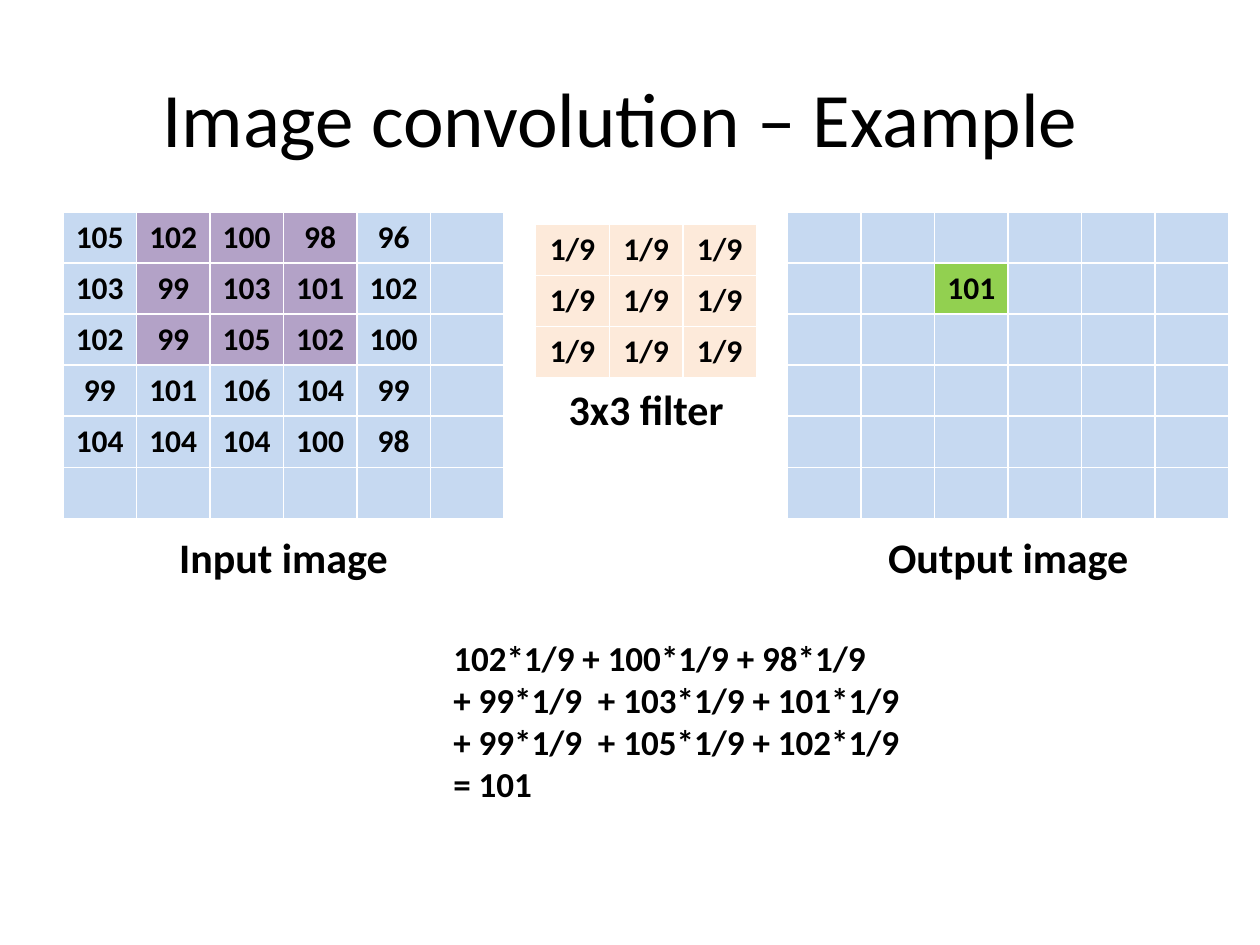
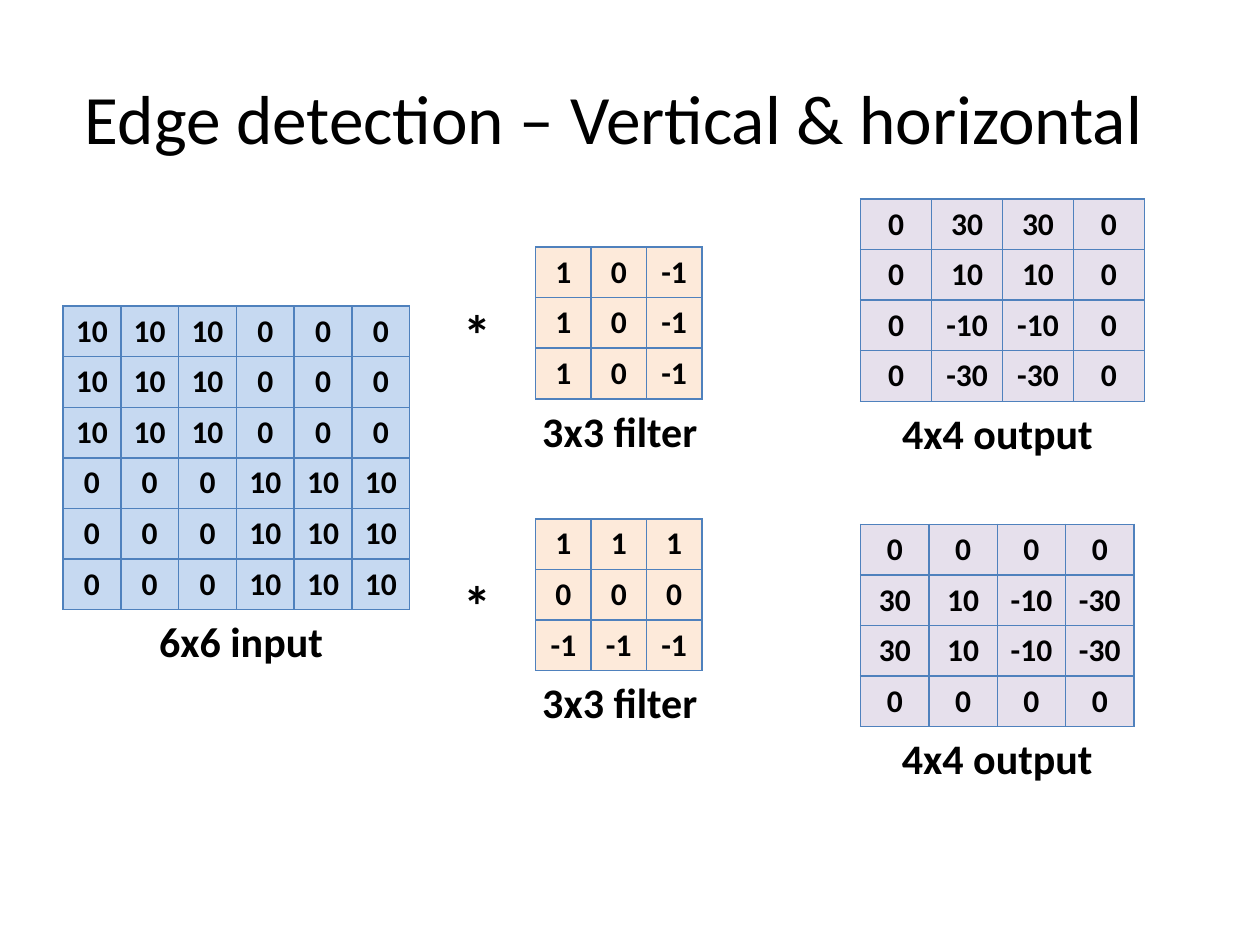
import itertools

import lxml.etree
import pptx
import pptx.dml.color
import pptx.enum.text
import pptx.oxml.ns
import pptx.util

Cm = pptx.util.Cm
Pt = pptx.util.Pt
ALIGN = pptx.enum.text.PP_ALIGN
MIDDLE = pptx.enum.text.MSO_ANCHOR.MIDDLE

FONT = "Calibri"
COLOURS = {
    "text": "000000",
    "image": "C6D9F1",
    "window": "B3A2C7",
    "filter": "FDEADA",
    "result": "92D050",
    "output": "E6E0EC",
    "white": "FFFFFF",
    "blue": "4F81BD",
}
TITLE_BOX = (1.27, 0.76, 22.86, 3.18)
CAPTION_HEIGHT = 1.27


def rgb(name):
    return pptx.dml.color.RGBColor.from_string(COLOURS[name])


def style_para(para, size, bold=True, align=ALIGN.CENTER):
    para.alignment = align
    para.font.name = FONT
    para.font.size = Pt(size)
    para.font.bold = bold
    para.font.color.rgb = rgb("text")


def add_text(page, box, lines, size, bold=True, align=ALIGN.CENTER, wrap=True):
    frame = page.shapes.add_textbox(*map(Cm, box)).text_frame
    frame.word_wrap = wrap
    frame.text = "\n".join(lines)
    for para in frame.paragraphs:
        style_para(para, size, bold, align)
    return frame


def add_title(page, text, size, right_inset):
    frame = add_text(page, TITLE_BOX, [text], size, bold=False)
    frame.vertical_anchor = MIDDLE
    frame.margin_right = Cm(right_inset)


def add_borders(cell, colour):
    properties = cell._tc.get_or_add_tcPr()
    for index, side in enumerate(("lnL", "lnR", "lnT", "lnB")):
        line = lxml.etree.Element(pptx.oxml.ns.qn(f"a:{side}"), w=str(Pt(1)))
        fill = lxml.etree.SubElement(line, pptx.oxml.ns.qn("a:solidFill"))
        lxml.etree.SubElement(fill, pptx.oxml.ns.qn("a:srgbClr"), val=COLOURS[colour])
        properties.insert(index, line)


def add_matrix(page, box, rows, fill, border, caption, caption_span=None,
               caption_gap=0, marked=None):
    """Draw a grid of numbers in box (left, top, width, row height), caption below."""
    left, top, width, row_height = box
    values = [row.split(",") for row in rows]
    height = row_height * len(values)
    marked = marked or {}

    # Grid
    table = page.shapes.add_table(
        len(values), len(values[0]), Cm(left), Cm(top), Cm(width), Cm(height)).table
    table.first_row = table.horz_banding = False
    for row in table.rows:
        row.height = Cm(row_height)
    for r, c in itertools.product(range(len(values)), range(len(values[0]))):
        cell = table.cell(r, c)
        cell.margin_left = cell.margin_right = 0
        cell.margin_top = cell.margin_bottom = 0
        cell.vertical_anchor = MIDDLE
        cell.text = values[r][c]
        style_para(cell.text_frame.paragraphs[0], 18)
        cell.fill.solid()
        cell.fill.fore_color.rgb = rgb(marked.get((r, c), fill))
        add_borders(cell, border)

    # Caption, aligned to the grid unless it has its own left and width
    caption_left, caption_width = caption_span or (left, width)
    caption_box = (caption_left, top + height + caption_gap, caption_width, CAPTION_HEIGHT)
    add_text(page, caption_box, [caption], 24)


def build_convolution(page):
    add_title(page, "Image convolution – Example", 44, 0.64)
    row_height = 1.03
    window = {cell: "window" for cell in itertools.product(range(3), range(1, 4))}

    # Input, filter and output
    add_matrix(page, (1.27, 4.27, 8.89, row_height), [
        "105,102,100,98,96,",
        "103,99,103,101,102,",
        "102,99,105,102,100,",
        "99,101,106,104,99,",
        "104,104,104,100,98,",
        ",,,,,",
    ], "image", "white", "Input image", caption_gap=0.14, marked=window)
    add_matrix(page, (10.8, 4.52, 4.45, row_height), ["1/9,1/9,1/9"] * 3,
               "filter", "white", "3x3 filter")
    output = [",,,,,"] * 6
    output[1] = ",,101,,,"
    add_matrix(page, (15.88, 4.27, 8.89, row_height), output, "image", "white",
               "Output image", caption_gap=0.14, marked={(1, 2): "result"})

    # Worked sum
    add_text(page, (8.89, 12.7, 9.75, 3.68), [
        "102*1/9 + 100*1/9 + 98*1/9",
        "+ 99*1/9  + 103*1/9 + 101*1/9",
        "+ 99*1/9  + 105*1/9 + 102*1/9",
        "= 101",
    ], 20, align=ALIGN.LEFT, wrap=False)


def build_edge_detection(page):
    add_title(page, "Edge detection – Vertical & horizontal", 39.6, 0.9)
    row_height = 1.02

    # Input
    add_matrix(page, (1.27, 6.17, 6.99, row_height),
               ["10,10,10,0,0,0"] * 3 + ["0,0,0,10,10,10"] * 3,
               "image", "blue", "6x6 input", (1.9, 5.92))

    # Filters with their operators
    filters = [
        (4.98, 5.92, ["1,0,-1"] * 3),
        (10.46, 11.38, ["1,1,1", "0,0,0", "-1,-1,-1"]),
    ]
    for top, operator_top, rows in filters:
        add_matrix(page, (10.8, top, 3.35, row_height), rows,
                   "filter", "blue", "3x3 filter", (10.59, 3.81))
        add_text(page, (9.09, operator_top, 1.09, 1.63), ["*"], 32,
                 align=ALIGN.LEFT, wrap=False)

    # Outputs
    outputs = [
        (4.01, 5.72, (17.15, 5.92), ["0,30,30,0", "0,10,10,0", "0,-10,-10,0", "0,-30,-30,0"]),
        (10.57, 5.51, None, ["0,0,0,0", "30,10,-10,-30", "30,10,-10,-30", "0,0,0,0"]),
    ]
    for top, width, caption_span, rows in outputs:
        add_matrix(page, (17.35, top, width, row_height), rows,
                   "output", "blue", "4x4 output", caption_span)


def main():
    deck = pptx.Presentation()
    deck.slide_width, deck.slide_height = Cm(25.4), Cm(19.05)
    for build in (build_convolution, build_edge_detection):
        build(deck.slides.add_slide(deck.slide_layouts[6]))
    deck.save("out.pptx")


if __name__ == "__main__":
    main()
